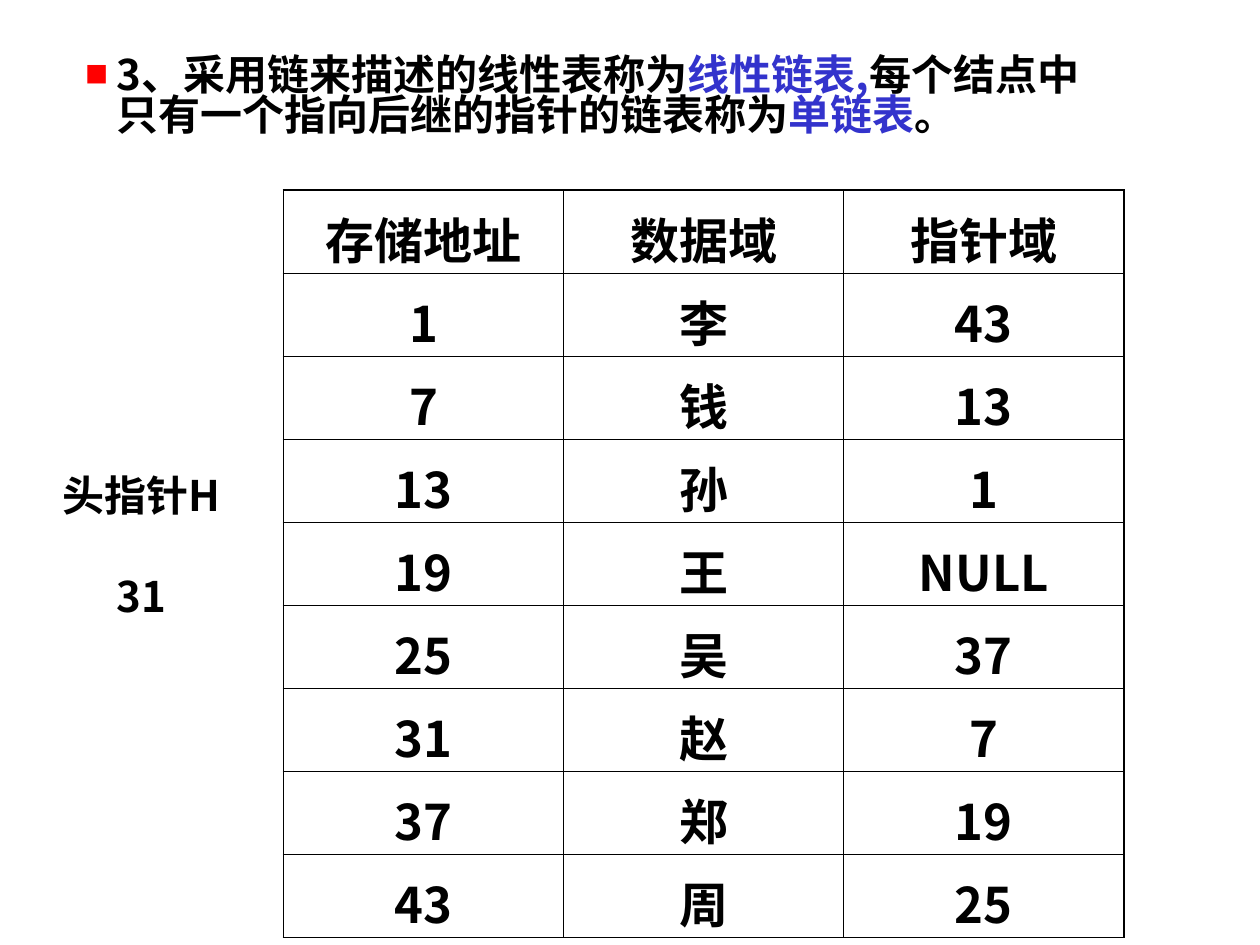
"""Build a slide that shows a singly linked list as a storage table."""
from dataclasses import dataclass

import lxml.etree
import pptx
import pptx.dml.color
import pptx.enum.text
import pptx.oxml.ns
import pptx.util

Inches, Pt = pptx.util.Inches, pptx.util.Pt
CENTER = pptx.enum.text.PP_ALIGN.CENTER
FONT = "Noto Sans CJK SC"
COLORS = {"text": "000000", "term": "3333CC", "bullet": "FF0000"}
THIN, THICK = Pt(0.45), Pt(1.08)


@dataclass
class Node:
    address: str
    data: str
    pointer: str


@dataclass
class Span:
    text: str
    color: str = "text"


HEADER = Node("存储地址", "数据域", "指针域")
NODES = [
    Node("1", "李", "43"),
    Node("7", "钱", "13"),
    Node("13", "孙", "1"),
    Node("19", "王", "NULL"),
    Node("25", "吴", "37"),
    Node("31", "赵", "7"),
    Node("37", "郑", "19"),
    Node("43", "周", "25"),
]
DEFINITION = [
    Span("3、采用链来描述的线性表称为"),
    Span("线性链表,", "term"),
    Span("每个结点中只有一个指向后继的指针的链表称为"),
    Span("单链表", "term"),
    Span("。"),
]


def add_element(parent, tag: str, **attributes: str):
    """Append a drawing element to its parent and return it."""
    return lxml.etree.SubElement(parent, pptx.oxml.ns.qn(tag), **attributes)


def format_run(r, size: float, color: str = "text") -> None:
    """Set the bold slide font on a run."""
    r.font.size = Pt(size)
    r.font.bold = True
    r.font.color.rgb = pptx.dml.color.RGBColor.from_string(COLORS[color])
    r.font.name = FONT
    add_element(r.font._element, "a:ea", typeface=FONT)


def add_border(cell, side: str, width: int) -> None:
    """Draw one border of a table cell."""
    line = add_element(cell._tc.get_or_add_tcPr(), f"a:{side}", w=str(int(width)))
    fill = add_element(line, "a:solidFill")
    add_element(fill, "a:srgbClr", val=COLORS["text"])


def add_node_table(s, nodes: list[Node]) -> None:
    """Draw the storage table with a thicker outer frame."""
    rows = [(node.address, node.data, node.pointer) for node in nodes]
    last_row, last_col = len(rows) - 1, len(rows[0]) - 1
    table = s.shapes.add_table(
        len(rows), len(rows[0]), Inches(2.25), Inches(1.51), Inches(6.67), Inches(5.1)
    ).table
    table.first_row = table.horz_banding = False
    for i, row in enumerate(rows):
        for j, text in enumerate(row):
            cell = table.cell(i, j)
            cell.margin_left = cell.margin_right = cell.margin_bottom = 0
            cell.margin_top = Pt(7)
            cell.text_frame.text = text
            p = cell.text_frame.paragraphs[0]
            p.alignment = CENTER
            format_run(p.runs[0], 28)
            outer = {"lnL": j == 0, "lnR": j == last_col, "lnT": i == 0, "lnB": i == last_row}
            for side, is_outer in outer.items():
                add_border(cell, side, THICK if is_outer else THIN)
            cell.fill.background()


def add_head_pointer(s, label: str, address: str) -> None:
    """Write the head pointer and the address it holds."""
    tf = s.shapes.add_textbox(Inches(0.33), Inches(3.08), Inches(1.58), Inches(2.5)).text_frame
    tf.word_wrap = False
    tf.vertical_anchor = pptx.enum.text.MSO_ANCHOR.MIDDLE
    tf.text = f"{label}\n{address}"
    for p in tf.paragraphs:
        p.alignment = CENTER
        format_run(p.runs[0], 24)
    tf.paragraphs[1].space_before = Pt(29)


def add_definition(s, spans: list[Span]) -> None:
    """Write the bulleted definition with its terms in colour."""
    tf = s.shapes.add_textbox(Inches(0.33), Inches(0.41), Inches(8.55), Inches(0.74)).text_frame
    tf.word_wrap = True
    p = tf.paragraphs[0]
    p.level = 1
    pPr = p._p.get_or_add_pPr()
    pPr.set("marL", str(Inches(0.5)))
    pPr.set("indent", str(-Inches(0.25)))
    color = add_element(pPr, "a:buClr")
    add_element(color, "a:srgbClr", val=COLORS["bullet"])
    add_element(pPr, "a:buSzPct", val="55000")
    add_element(pPr, "a:buFont", typeface=FONT)
    add_element(pPr, "a:buChar", char="■")
    p.line_spacing = 0.8
    for span in spans:
        r = p.add_run()
        r.text = span.text
        format_run(r, 24, span.color)


def main() -> None:
    """Build and save the slide."""
    prs = pptx.Presentation()
    prs.slide_width, prs.slide_height = Inches(10), Inches(7.5)
    s = prs.slides.add_slide(prs.slide_layouts[6])
    add_node_table(s, [HEADER, *NODES])
    add_head_pointer(s, "头指针H", "31")
    add_definition(s, DEFINITION)
    prs.save("out.pptx")


if __name__ == "__main__":
    main()
